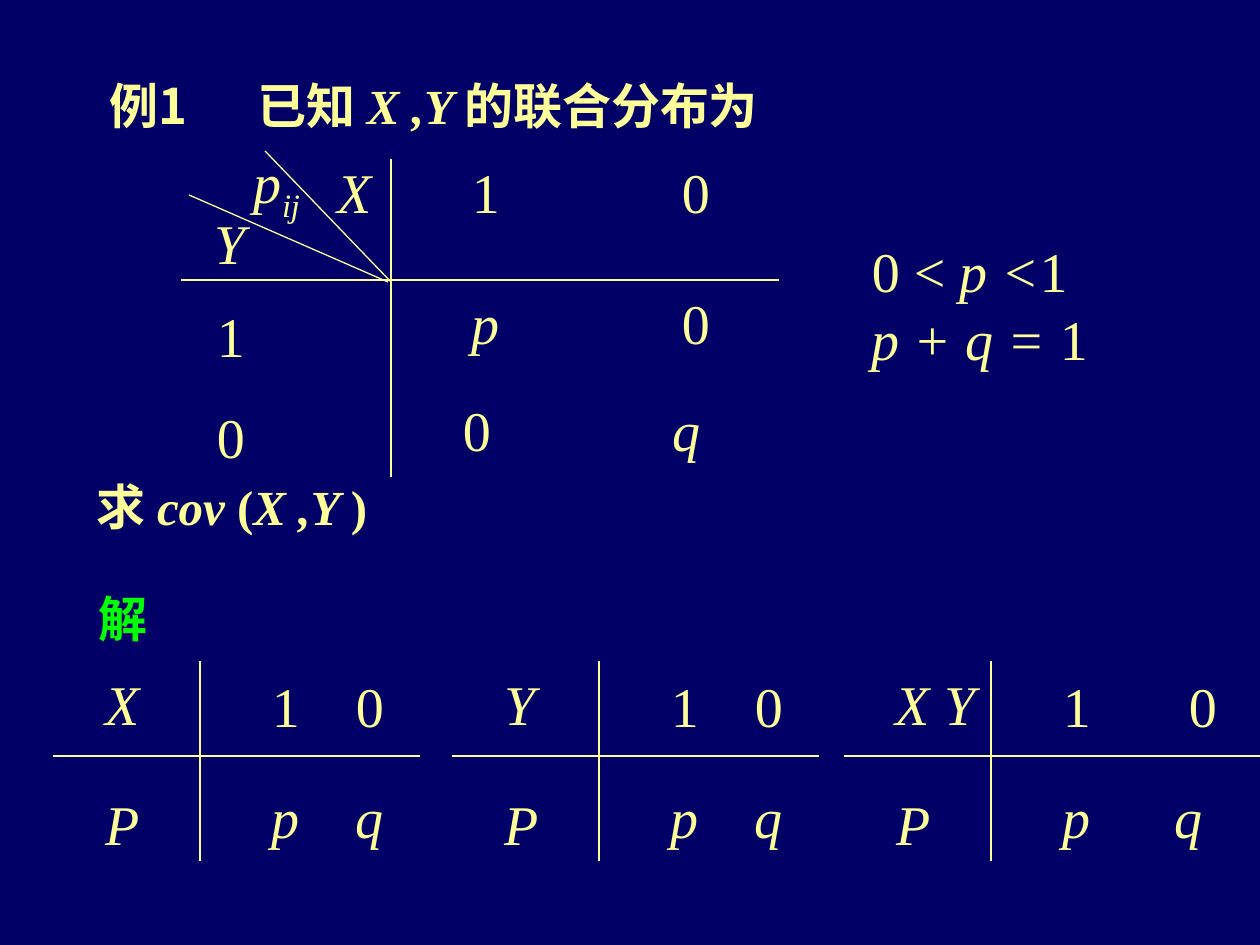
from lxml.etree import SubElement
from pptx import Presentation
from pptx.dml.color import RGBColor
from pptx.enum.shapes import MSO_CONNECTOR
from pptx.enum.text import MSO_ANCHOR, MSO_AUTO_SIZE, PP_ALIGN
from pptx.oxml.ns import qn
from pptx.util import Emu, Pt

NAVY, CREAM, GREEN = "000066", "FFFF99", "00FF00"
SERIF, CJK = "Times New Roman", "Noto Sans CJK SC"


def px(length):
    """Turn px, at 126 to the inch, into EMU."""
    return Emu(round(length * 914400 / 126))


def color(value):
    """Turn a hex string into a colour."""
    return RGBColor.from_string(value)


def add_styled_run(paragraph, text, italic, size, bold, ink, upright):
    """Append one formatted run and return it."""
    run = paragraph.add_run()
    run.text = text
    font = run.font
    font.name = SERIF if italic else upright
    font.size, font.bold, font.italic = Pt(size), bold, italic
    font.color.rgb = color(ink)
    SubElement(font._element, qn("a:ea")).set("typeface", CJK)
    return run


def write(frame, lines, size=32, bold=False, ink=CREAM, upright=SERIF):
    """Fill a frame with lines of (text, italic) pieces."""
    frame.margin_left = frame.margin_right = 0
    frame.margin_top = frame.margin_bottom = 0
    frame.word_wrap = True
    frame.auto_size = MSO_AUTO_SIZE.NONE
    frame.vertical_anchor = MSO_ANCHOR.TOP
    for index, pieces in enumerate(lines):
        paragraph = frame.add_paragraph() if index else frame.paragraphs[0]
        paragraph.alignment = PP_ALIGN.LEFT
        for text, italic in pieces:
            add_styled_run(paragraph, text, italic, size, bold, ink, upright)


def add_text(slide, left, top, width, height, lines, **style):
    """Place a text box and write its lines."""
    box = slide.shapes.add_textbox(px(left), px(top), px(width), px(height))
    write(box.text_frame, lines, **style)
    return box


def add_symbol(slide, left, top, text, width=50):
    """Place a number upright or a variable in italics."""
    add_text(slide, left, top, width, 68, [[(text, not text.isdigit())]])


def add_rule(slide, x1, y1, x2, y2):
    """Draw a thin rule between two points."""
    rule = slide.shapes.add_connector(MSO_CONNECTOR.STRAIGHT, px(x1), px(y1), px(x2), px(y2))
    rule.line.color.rgb = color(CREAM)
    rule.line.width = Pt(0.75)
    SubElement(rule._element.spPr, qn("a:effectLst"))


def add_heading(slide, left, top, width, height):
    """Write the problem statement in the title placeholder."""
    title = slide.shapes.title
    title.left, title.top, title.width, title.height = map(px, (left, top, width, height))
    paragraph = title.text_frame.paragraphs[0]
    stops = SubElement(paragraph._p.get_or_add_pPr(), qn("a:tabLst"))
    stop = SubElement(stops, qn("a:tab"))
    stop.set("pos", str(px(148)))
    stop.set("algn", "l")
    pieces = [("例1\t已知 ", False), ("X ,Y ", True), ("的联合分布为", False)]
    write(title.text_frame, [pieces], size=28, bold=True, upright=CJK)


def add_joint_table(slide, left, top, width, height):
    """Draw the joint distribution with its split corner cell."""
    axis_x, axis_y = left + 210, top + 129
    add_rule(slide, left, axis_y, left + width, axis_y)
    add_rule(slide, axis_x, top + 8, axis_x, top + height)
    add_rule(slide, left + 84, top, axis_x, axis_y + 2)
    add_rule(slide, left + 8, top + 44, axis_x - 3, axis_y + 2)

    corner = add_text(slide, left + 73, top - 3, 70, 80, [[("p", True), ("ij", True)]])
    index_run = corner.text_frame.paragraphs[0].runs[1]
    index_run.font._element.set("baseline", "-25000")
    add_symbol(slide, left + 157, top + 6, "X")
    add_symbol(slide, left + 34, top + 58, "Y")

    for row_top, label in ((150, "1"), (251, "0")):
        add_symbol(slide, left + 36, top + row_top, label)
    rows = ((291, 6, "10"), (291, 137, "p0"), (282, 244, "0q"))
    for row_left, row_top, values in rows:
        for column, value in enumerate(values):
            add_symbol(slide, left + row_left + 210 * column, top + row_top, value)


def add_marginal_table(slide, left, top, width, height, variable, value_gap, chance_gap):
    """Draw the distribution of one variable."""
    add_rule(slide, left, top + 95, left + width, top + 95)
    add_rule(slide, left + 147, top, left + 147, top + height)
    add_symbol(slide, left + 52, top + 9, variable, 95)
    add_symbol(slide, left + 53, top + 129, "P")
    for row_top, values, gap in ((10, "10", value_gap), (122, "pq", chance_gap)):
        for column, value in enumerate(values):
            add_symbol(slide, left + 219 + gap * column, top + row_top, value)


def add_conditions(slide, left, top, width, height):
    """State the conditions on p and q."""
    lines = [
        [("0 < ", False), ("p <", True), ("1", False)],
        [("p + q =", True), (" 1", False)],
    ]
    add_text(slide, left, top, width, height, lines)


def add_question(slide, left, top, width, height):
    """Ask for the covariance."""
    pieces = [("求 ", False), ("cov", True), (" (", False), ("X ,Y ", True), (")", False)]
    add_text(slide, left, top, width, height, [pieces], size=28, bold=True)


def main():
    """Build and save the slide."""
    deck = Presentation()
    deck.slide_width, deck.slide_height = px(1260), px(945)
    slide = deck.slides.add_slide(deck.slide_layouts[5])
    slide.background.fill.solid()
    slide.background.fill.fore_color.rgb = color(NAVY)

    add_heading(slide, 110, 75, 690, 60)
    add_joint_table(slide, 181, 151, 598, 326)
    add_conditions(slide, 872, 237, 230, 136)
    add_question(slide, 97, 477, 470, 60)
    add_text(slide, 99, 589, 60, 60, [[("解", False)]], size=28, bold=True, ink=GREEN)
    marginals = (
        (53, 367, "X", 84, 84),
        (452, 367, "Y", 84, 84),
        (844, 416, "X Y", 126, 112),
    )
    for left, width, variable, value_gap, chance_gap in marginals:
        add_marginal_table(slide, left, 661, width, 200, variable, value_gap, chance_gap)
    deck.save("out.pptx")


if __name__ == "__main__":
    main()
